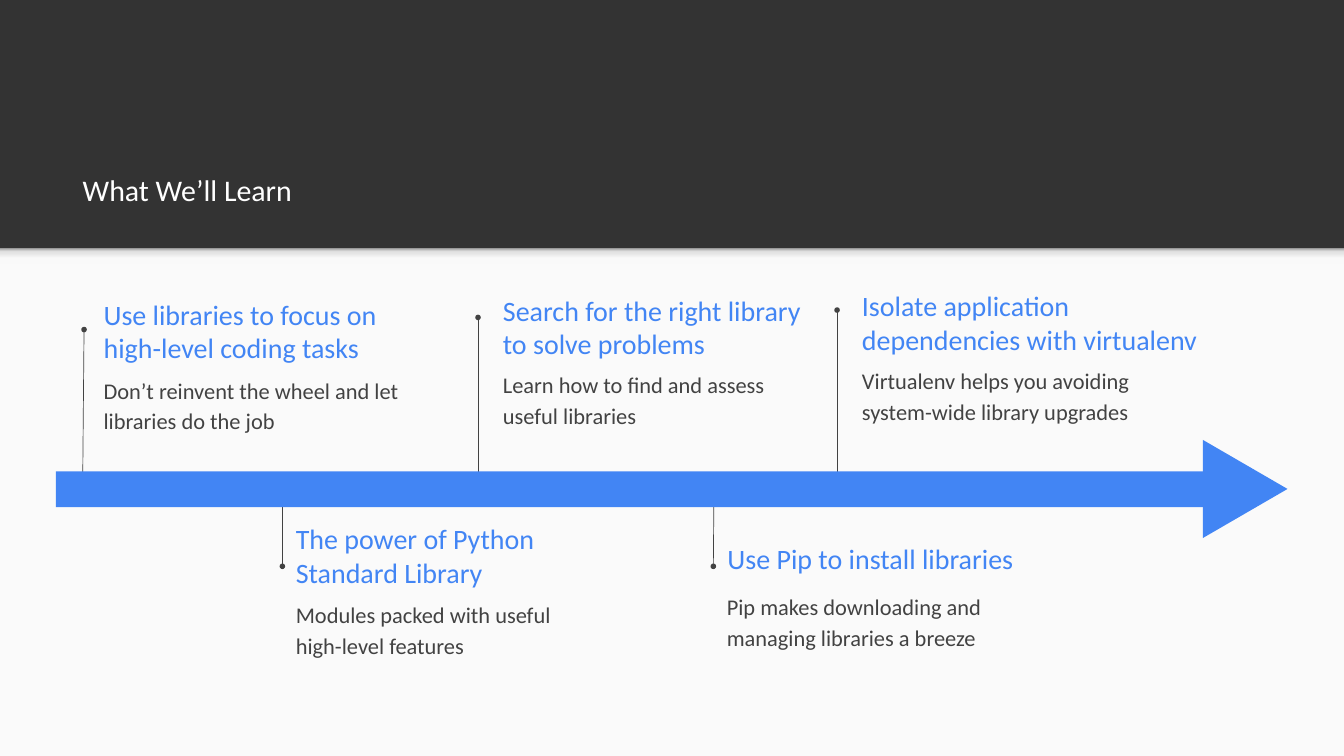
from copy import deepcopy

from pptx import Presentation
from pptx.dml.color import RGBColor
from pptx.enum.shapes import MSO_CONNECTOR, MSO_SHAPE
from pptx.enum.text import MSO_ANCHOR, MSO_AUTO_SIZE, PP_ALIGN
from pptx.oxml.ns import qn
from pptx.util import Inches, Pt

RECTANGLE = MSO_SHAPE.RECTANGLE
TRIANGLE = MSO_SHAPE.ISOSCELES_TRIANGLE
STRAIGHT = MSO_CONNECTOR.STRAIGHT
TOP, MIDDLE, BOTTOM = MSO_ANCHOR.TOP, MSO_ANCHOR.MIDDLE, MSO_ANCHOR.BOTTOM
LEFT = PP_ALIGN.LEFT
NO_AUTOFIT = MSO_AUTO_SIZE.NONE

CHARCOAL = RGBColor(0x33, 0x33, 0x33)
PAPER = RGBColor(0xFA, 0xFA, 0xFA)
WHITE = RGBColor(0xFF, 0xFF, 0xFF)
BLUE = RGBColor(0x42, 0x85, 0xF4)
GRAY = RGBColor(0x42, 0x42, 0x42)
SHADE_LIGHT = RGBColor(0xF9, 0xF9, 0xF9)
SHADE_MID = RGBColor(0xDE, 0xDE, 0xDE)
SHADE_DARK = RGBColor(0x99, 0x99, 0x99)
SHADE_STOPS = [(0, SHADE_LIGHT), (0.36, SHADE_LIGHT), (0.8, SHADE_MID), (1, SHADE_DARK)]

FONT = "Calibri"
WIDTH, HEIGHT = 19.99, 11.24
HEADER_HEIGHT = 3.69
HEADING_HEIGHT, DETAIL_HEIGHT = 0.86, 1.27

MILESTONES = [
    ("Use libraries to focus on high-level coding tasks",
     "Don’t reinvent the wheel and let libraries do the job",
     (1.34, 4.49, 4.91), (1.34, 5.34, 5.18), (1.23, 7.16, 1.25, 4.9)),
    ("The power of Python Standard Library",
     "Modules packed with useful high-level features",
     (4.2, 7.83, 4.5), (4.2, 8.68, 4.5), (4.2, 7.53, 4.2, 8.42)),
    ("Search for the right library to solve problems",
     "Learn how to find and assess useful libraries",
     (7.28, 4.43, 5.08), (7.28, 5.26, 5.18), (7.11, 7.25, 7.11, 4.72)),
    ("Use Pip to install libraries",
     "Pip makes downloading and managing libraries a breeze",
     (10.62, 7.87, 5.39), (10.61, 8.56, 4.91), (10.62, 7.21, 10.61, 8.42)),
    ("Isolate application dependencies with virtualenv",
     "Virtualenv helps you avoiding system-wide library upgrades",
     (12.62, 4.36, 5.89), (12.62, 5.2, 5.18), (12.45, 7.14, 12.45, 4.61)),
]


class TimelinePage:
    """Draws the elements of a timeline on one slide in a shared style."""

    def __init__(self, page):
        self.page = page
        self.page.background.fill.solid()
        self.page.background.fill.fore_color.rgb = CHARCOAL

    def fill_box(self, box, text, size, color, anchor, spacing=1.0):
        frame = box.text_frame
        frame.word_wrap = True
        frame.auto_size = NO_AUTOFIT
        frame.vertical_anchor = anchor
        frame.margin_left = frame.margin_right = Inches(0.2)
        frame.margin_top = frame.margin_bottom = Inches(0.2)
        frame.text = text
        para = frame.paragraphs[0]
        para.alignment = LEFT
        para.line_spacing = spacing
        para.font.name = FONT
        para.font.size = Pt(size)
        para.font.color.rgb = color

    def title(self, text, left, top, width, height):
        box = self.page.shapes.title
        box.left, box.top = Inches(left), Inches(top)
        box.width, box.height = Inches(width), Inches(height)
        self.fill_box(box, text, 32, WHITE, BOTTOM)

    def text(self, text, left, top, width, height, size, color, anchor, spacing=1.0):
        box = self.page.shapes.add_textbox(
            Inches(left), Inches(top), Inches(width), Inches(height))
        self.fill_box(box, text, size, color, anchor, spacing)

    def shape(self, kind, left, top, width, height, color):
        shape = self.page.shapes.add_shape(
            kind, Inches(left), Inches(top), Inches(width), Inches(height))
        shape.shadow.inherit = False
        shape.fill.solid()
        shape.fill.fore_color.rgb = color
        shape.line.fill.background()
        return shape

    def shade(self, left, top, width, height):
        band = self.shape(RECTANGLE, left, top, width, height, SHADE_LIGHT)
        band.fill.gradient()
        band.fill.gradient_angle = 90
        stop_list = band.element.spPr.find(".//" + qn("a:gsLst"))
        for _ in range(len(SHADE_STOPS) - len(stop_list)):
            stop_list.append(deepcopy(stop_list[0]))
        for stop, (position, color) in zip(band.fill.gradient_stops, SHADE_STOPS):
            stop.position = position
            stop.color.rgb = color

    def pin(self, *ends):
        pin = self.page.shapes.add_connector(STRAIGHT, *map(Inches, ends))
        pin.line.color.rgb = GRAY
        pin.line.width = Pt(0.75)
        properties = pin.element.spPr
        line = properties.find(qn("a:ln"))
        line.append(line.makeelement(qn("a:tailEnd"), {"type": "oval"}))
        properties.append(properties.makeelement(qn("a:effectLst"), {}))

    def milestone(self, heading, detail, heading_at, detail_at, pin_ends):
        self.pin(*pin_ends)
        self.text(heading, *heading_at, HEADING_HEIGHT, 30, BLUE, MIDDLE)
        self.text(detail, *detail_at, DETAIL_HEIGHT, 24, GRAY, TOP, 1.15)

    def arrow(self):
        head = self.shape(TRIANGLE, 17.79, 6.64, 1.46, 1.26, BLUE)
        head.rotation = 90
        shaft = self.shape(RECTANGLE, 0.83, 7.01, 17.29, 0.53, BLUE)
        self.page.shapes.add_group_shape([head, shaft])


def main():
    deck = Presentation()
    deck.slide_width, deck.slide_height = Inches(WIDTH), Inches(HEIGHT)
    timeline = TimelinePage(deck.slides.add_slide(deck.slide_layouts[5]))
    timeline.shape(RECTANGLE, 0, HEADER_HEIGHT, WIDTH, HEIGHT - HEADER_HEIGHT, PAPER)
    timeline.shade(0, HEADER_HEIGHT, WIDTH, 0.24)
    timeline.title("What We’ll Learn", 1.03, 1.61, 17.98, 1.68)
    for milestone in MILESTONES:
        timeline.milestone(*milestone)
    timeline.arrow()
    deck.save("out.pptx")


if __name__ == "__main__":
    main()
